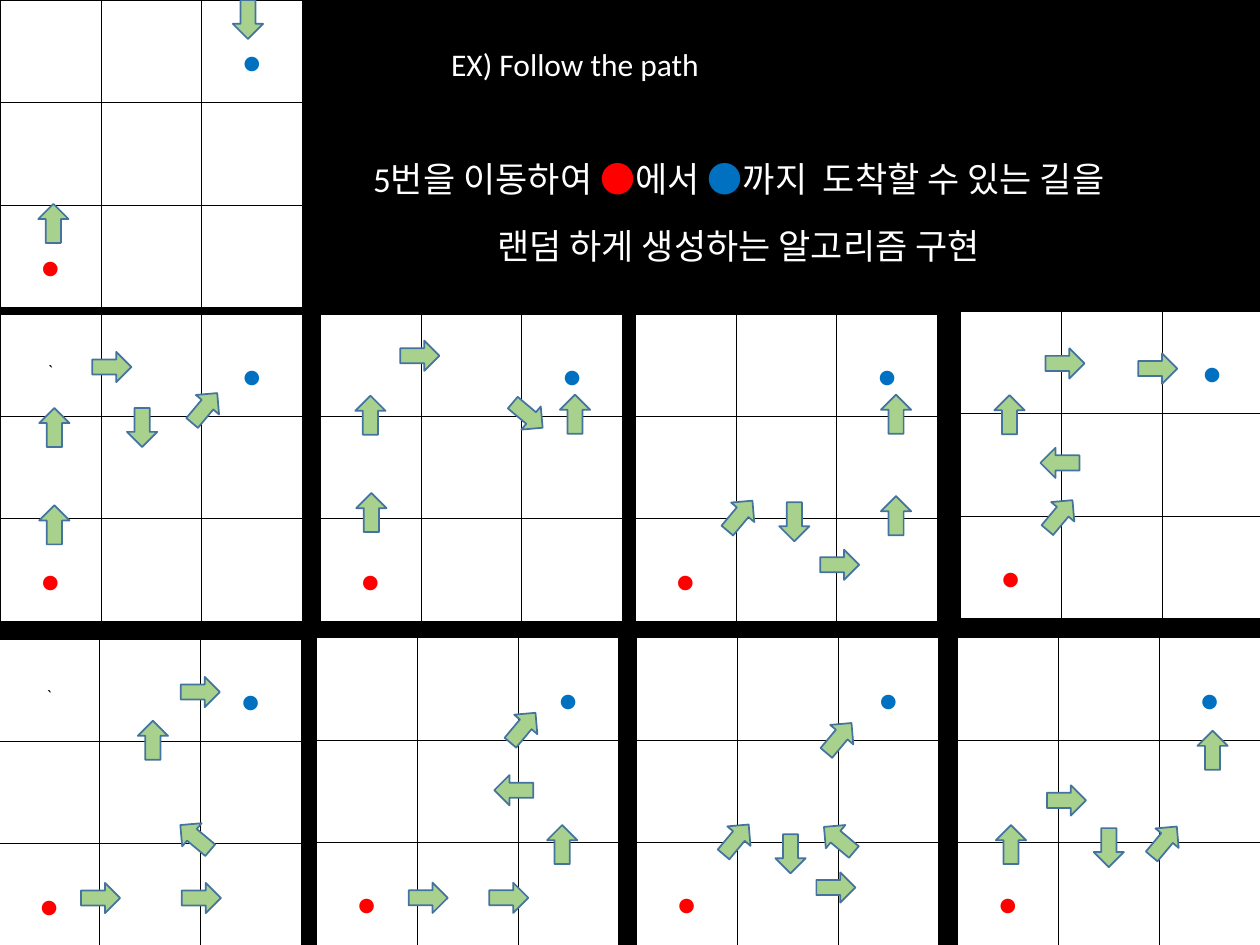
from dataclasses import dataclass
from enum import IntEnum

from lxml.etree import SubElement
from pptx import Presentation
from pptx.dml.color import RGBColor
from pptx.enum.shapes import MSO_SHAPE
from pptx.enum.text import MSO_ANCHOR, MSO_AUTO_SIZE, PP_ALIGN
from pptx.oxml.ns import qn
from pptx.util import Inches, Pt


@dataclass(frozen=True)
class Theme:
    font: str = "Calibri"
    background: str = "000000"
    paper: str = "FFFFFF"
    ink: str = "000000"
    start: str = "FF0000"
    goal: str = "0070C0"
    arrow: str = "A9D18E"
    arrow_line: str = "43739E"
    title_size: int = 18
    body_size: int = 20
    dot_size: int = 18
    tick_size: int = 10
    line_spacing: float = 1.6
    arrow_line_width: float = 1
    grid_line_width: float = 0.28


class Heading(IntEnum):
    """Clockwise rotation of an arrow that points up."""
    UP = 0
    UP_RIGHT = 40
    RIGHT = 90
    DOWN_RIGHT = 130
    DOWN = 180
    LEFT = 270
    UP_LEFT = 310


@dataclass(frozen=True)
class Move:
    """An arrow whose centre is given in columns and rows of its board."""
    heading: Heading
    col: float
    row: float


@dataclass(frozen=True)
class Board:
    left: float
    top: float
    moves: tuple[Move, ...]
    tick: bool = False


THEME = Theme()
SLIDE_W, SLIDE_H = 10, 7.5
CELLS = 3
BOARD_W, BOARD_H = 2.4, 2.44
CELL_W, CELL_H = BOARD_W / CELLS, BOARD_H / CELLS
ARROW_W, ARROW_H = 0.24, 0.31
DOT = "●"
H = Heading

BOARDS = (
    Board(0, 0, (Move(H.UP, 0.53, 2.18), Move(H.DOWN, 2.46, 0.19))),
    Board(0, 2.49, (
        Move(H.UP, 0.54, 2.06), Move(H.UP, 0.54, 1.11), Move(H.RIGHT, 1.11, 0.52),
        Move(H.DOWN, 1.41, 1.11), Move(H.UP_RIGHT, 2.03, 0.92)), tick=True),
    Board(2.54, 2.49, (
        Move(H.UP, 0.51, 1.94), Move(H.UP, 0.5, 0.99), Move(H.RIGHT, 0.99, 0.41),
        Move(H.DOWN_RIGHT, 2.06, 0.99), Move(H.UP, 2.53, 0.98))),
    Board(5.04, 2.49, (
        Move(H.UP_RIGHT, 1.04, 1.97), Move(H.DOWN, 1.58, 2.03), Move(H.RIGHT, 2.03, 2.45),
        Move(H.UP, 2.59, 1.97), Move(H.UP, 2.59, 0.98))),
    Board(7.62, 2.47, (
        Move(H.UP_RIGHT, 0.99, 1.99), Move(H.LEFT, 0.99, 1.48), Move(H.UP, 0.49, 1.01),
        Move(H.RIGHT, 1.04, 0.51), Move(H.RIGHT, 1.96, 0.56))),
    Board(-0.01, 5.07, (
        Move(H.RIGHT, 1.01, 2.53), Move(H.RIGHT, 2.01, 2.53), Move(H.UP_LEFT, 1.95, 1.94),
        Move(H.UP, 1.53, 0.99), Move(H.RIGHT, 2, 0.52)), tick=True),
    Board(2.51, 5.06, (
        Move(H.RIGHT, 1.11, 2.54), Move(H.RIGHT, 1.91, 2.54), Move(H.UP, 2.44, 2.02),
        Move(H.LEFT, 1.96, 1.49), Move(H.UP_RIGHT, 2.05, 0.88))),
    Board(5.05, 5.06, (
        Move(H.UP_RIGHT, 0.99, 1.97), Move(H.DOWN, 1.53, 2.11), Move(H.RIGHT, 1.98, 2.44),
        Move(H.UP_LEFT, 2.01, 1.97), Move(H.UP_RIGHT, 2.01, 0.98))),
    Board(7.6, 5.06, (
        Move(H.UP, 0.53, 2.02), Move(H.RIGHT, 1.08, 1.59), Move(H.DOWN, 1.5, 2.05),
        Move(H.UP_RIGHT, 2.05, 1.99), Move(H.UP, 2.53, 1.1))),
)


def rgb(color: str) -> RGBColor:
    return RGBColor.from_string(color)


def style_run(r, size: float, color: str) -> None:
    r.font.name = THEME.font
    r.font.size = Pt(size)
    r.font.color.rgb = rgb(color)


def style_cell(cell) -> None:
    cell.fill.solid()
    cell.fill.fore_color.rgb = rgb(THEME.paper)
    cell.vertical_anchor = MSO_ANCHOR.MIDDLE
    cell.margin_left = cell.margin_right = Inches(0.07)
    cell.margin_top = cell.margin_bottom = Inches(0.02)
    props = cell._tc.get_or_add_tcPr()
    for i, side in enumerate(("a:lnL", "a:lnR", "a:lnT", "a:lnB")):
        line = SubElement(props, qn(side), w=str(Pt(THEME.grid_line_width)))
        fill = SubElement(line, qn("a:solidFill"))
        SubElement(fill, qn("a:srgbClr"), val=THEME.ink)
        props.insert(i, line)


def mark_cell(cell, text: str, size: float, color: str) -> None:
    p = cell.text_frame.paragraphs[0]
    p.text = text
    p.alignment = PP_ALIGN.CENTER
    p.line_spacing = THEME.line_spacing
    style_run(p.runs[0], size, color)


def draw_grid(s, board: Board) -> None:
    table = s.shapes.add_table(CELLS, CELLS, Inches(board.left), Inches(board.top),
                               Inches(BOARD_W), Inches(BOARD_H)).table
    table.first_row = table.horz_banding = False
    for cell in table.iter_cells():
        style_cell(cell)
    mark_cell(table.cell(0, 2), DOT, THEME.dot_size, THEME.goal)
    mark_cell(table.cell(2, 0), DOT, THEME.dot_size, THEME.start)
    if board.tick:
        mark_cell(table.cell(0, 0), "`", THEME.tick_size, THEME.ink)


def draw_move(s, board: Board, move: Move) -> None:
    left = board.left + move.col * CELL_W - ARROW_W / 2
    top = board.top + move.row * CELL_H - ARROW_H / 2
    sp = s.shapes.add_shape(MSO_SHAPE.UP_ARROW, Inches(left), Inches(top),
                            Inches(ARROW_W), Inches(ARROW_H))
    sp.rotation = int(move.heading)
    sp.shadow.inherit = False
    sp.fill.solid()
    sp.fill.fore_color.rgb = rgb(THEME.arrow)
    sp.line.color.rgb = rgb(THEME.arrow_line)
    sp.line.width = Pt(THEME.arrow_line_width)


def draw_title(s) -> None:
    sp = s.shapes.title
    sp.left, sp.top, sp.width, sp.height = map(Inches, (3.48, 0.31, 2.36, 0.4))
    tf = sp.text_frame
    tf.text = "EX) Follow the path"
    tf.vertical_anchor = MSO_ANCHOR.TOP
    tf.auto_size = MSO_AUTO_SIZE.NONE
    p = tf.paragraphs[0]
    p.alignment = PP_ALIGN.LEFT
    style_run(p.runs[0], THEME.title_size, THEME.paper)


def draw_task(s) -> None:
    sp = s.shapes.add_textbox(*map(Inches, (2.01, 1, 7.71, 1.18)))
    tf = sp.text_frame
    tf.word_wrap = True
    p = tf.paragraphs[0]
    p.text = ""
    p.alignment = PP_ALIGN.CENTER
    p.line_spacing = THEME.line_spacing
    for text, color in (("5번을 이동하여", THEME.paper), (" " + DOT, THEME.start),
                        ("에서 ", THEME.paper), (DOT, THEME.goal),
                        ("까지  도착할 수 있는 길을", THEME.paper),
                        ("\n", THEME.paper),
                        ("랜덤 하게 생성하는 알고리즘 구현", THEME.paper)):
        if text == "\n":
            p.add_line_break()
            continue
        r = p.add_run()
        r.text = text
        style_run(r, THEME.body_size, color)


def main() -> None:
    prs = Presentation()
    prs.slide_width, prs.slide_height = Inches(SLIDE_W), Inches(SLIDE_H)
    s = prs.slides.add_slide(prs.slide_layouts[5])
    s.background.fill.solid()
    s.background.fill.fore_color.rgb = rgb(THEME.background)
    draw_title(s)
    draw_task(s)
    for board in BOARDS:
        draw_grid(s, board)
        for move in board.moves:
            draw_move(s, board, move)
    prs.save("out.pptx")


if __name__ == "__main__":
    main()
